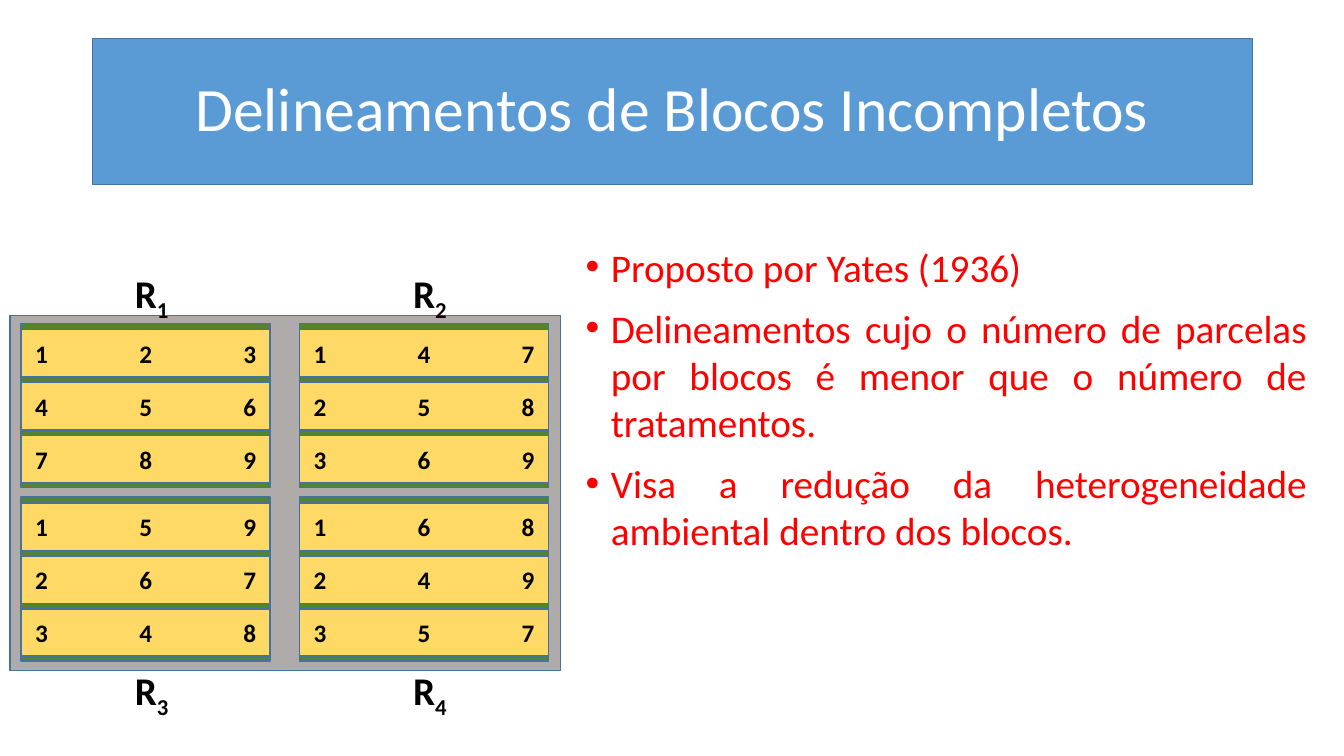
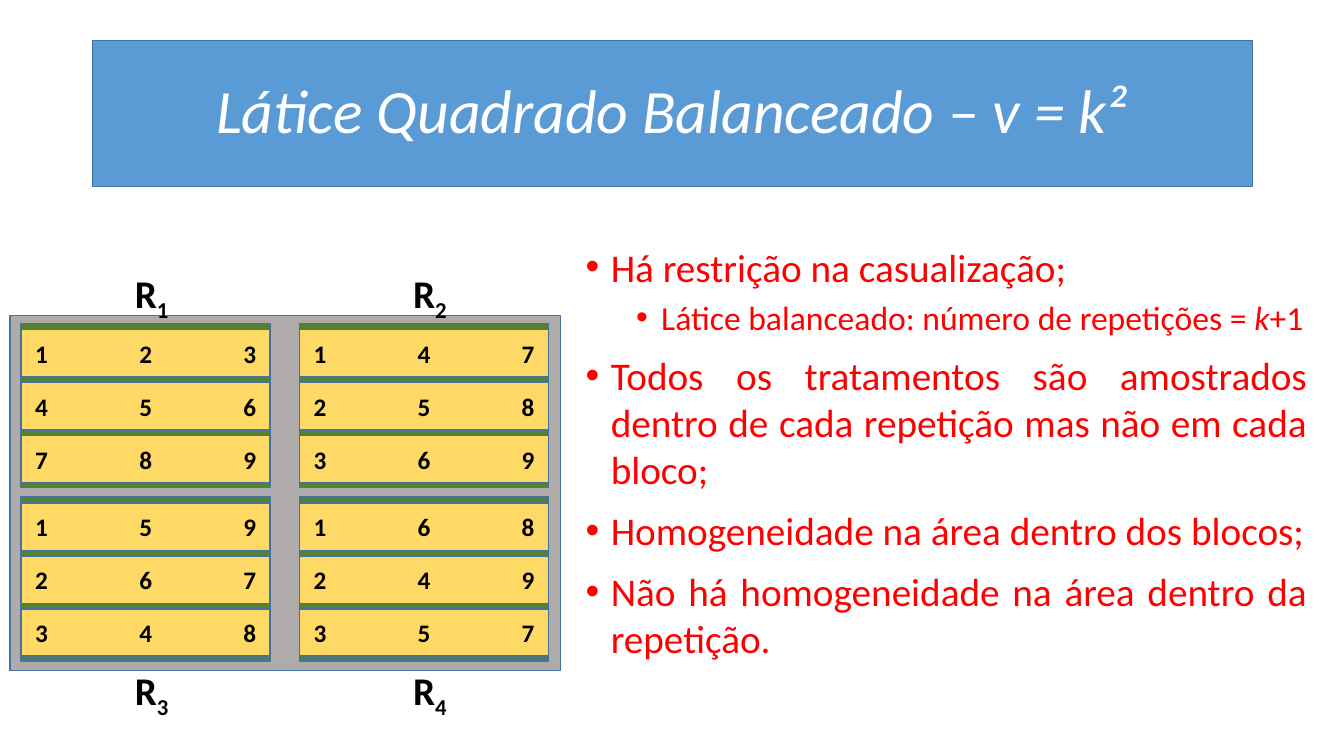
from dataclasses import dataclass

import pptx
import pptx.dml.color
import pptx.enum.shapes
import pptx.enum.text
import pptx.oxml.ns
import pptx.util
from lxml import etree
from pptx.util import Inches

ALIGN = pptx.enum.text.PP_ALIGN
MIDDLE = pptx.enum.text.MSO_ANCHOR.MIDDLE
qn = pptx.oxml.ns.qn


@dataclass(frozen=True)
class Theme:
    font: str = "Calibri"
    band: str = "5B9BD5"
    outline: str = "43739E"
    title: str = "FFFFFF"
    points: str = "FF0000"
    field: str = "AFABAB"
    repetition: str = "548235"
    block: str = "FFD966"
    ink: str = "000000"
    title_size: int = 44
    point_sizes: tuple = (28, 24)
    label_size: int = 28
    plot_size: int = 18


THEME = Theme()

TOPICS = [
    {
        "title": "Delineamentos de Blocos Incompletos",
        "italic": False,
        "top": 0.38,
        "points": [
            (0, ["Proposto por Yates (1936)"]),
            (0, ["Delineamentos cujo o número de parcelas por blocos é menor que o número de tratamentos."]),
            (0, ["Visa a redução da heterogeneidade ambiental dentro dos blocos."]),
        ],
    },
    {
        "title": "Látice Quadrado Balanceado – v = k²",
        "italic": True,
        "top": 0.4,
        "points": [
            (0, ["Há restrição na casualização;"]),
            (1, ["Látice balanceado: número de repetições = ", ("k", {"italic": True}), "+1"]),
            (0, ["Todos os tratamentos são amostrados dentro de cada repetição mas não em cada bloco;"]),
            (0, ["Homogeneidade na área dentro dos blocos;"]),
            (0, ["Não há homogeneidade na área dentro da repetição."]),
        ],
    },
]

REPETITIONS = [
    ["123", "456", "789"],
    ["147", "258", "369"],
    ["159", "267", "348"],
    ["168", "249", "357"],
]

FIELD = (0.1, 3.13, 5.46, 3.52)
FIRST_LEFT, FIRST_TOP = 0.21, 3.21
REP_WIDTH, REP_HEIGHT = 2.47, 1.63
GAP_X, GAP_Y = 0.29, 0.09
BLOCK_HEIGHT = 0.47
EDGE_TOP, EDGE_BOTTOM = 0.06, 0.05
BLOCK_PITCH = (REP_HEIGHT - EDGE_TOP - EDGE_BOTTOM - BLOCK_HEIGHT) / 2
PLOT_INSET = 0.14
LABEL_OFFSET, LABEL_WIDTH, LABEL_HEIGHT = 1.03, 0.6, 0.57
LABEL_TOPS = (2.62, 6.56)


def colour(value):
    return pptx.dml.color.RGBColor.from_string(value)


def write(paragraph, runs, *, size, color, align=ALIGN.LEFT, bold=False, italic=False):
    paragraph.alignment = align
    for part in runs:
        text, changes = (part, {}) if isinstance(part, str) else part
        run = paragraph.add_run()
        run.text = text
        run.font.name = THEME.font
        run.font.size = pptx.util.Pt(size)
        run.font.color.rgb = colour(color)
        run.font.bold = bold
        run.font.italic = changes.get("italic", italic)
        if "baseline" in changes:
            run._r.get_or_add_rPr().set("baseline", str(changes["baseline"] * 1000))


def place(shape, left, top, width, height):
    shape.left, shape.top = Inches(left), Inches(top)
    shape.width, shape.height = Inches(width), Inches(height)


def paint(shape, fill):
    shape.fill.solid()
    shape.fill.fore_color.rgb = colour(fill)
    shape.line.color.rgb = colour(THEME.outline)
    shape.line.width = pptx.util.Pt(1)


def add_panel(slide, left, top, width, height, fill):
    panel = slide.shapes.add_shape(
        pptx.enum.shapes.MSO_SHAPE.RECTANGLE,
        Inches(left), Inches(top), Inches(width), Inches(height))
    panel.shadow.inherit = False
    paint(panel, fill)
    return panel


def add_frame(slide, left, top, width, height):
    box = slide.shapes.add_textbox(Inches(left), Inches(top), Inches(width), Inches(height))
    box.text_frame.word_wrap = True
    return box.text_frame


def add_title(slide, topic):
    title = slide.shapes.title
    place(title, 0.92, topic["top"], 11.5, 1.45)
    paint(title, THEME.band)
    frame = title.text_frame
    frame.auto_size = pptx.enum.text.MSO_AUTO_SIZE.NONE
    frame.vertical_anchor = MIDDLE
    heading = frame.paragraphs[0]
    heading.line_spacing = 0.9
    write(heading, [topic["title"]], size=THEME.title_size, color=THEME.title,
          align=ALIGN.CENTER, italic=topic["italic"])


def add_points(slide, points):
    frame = add_frame(slide, 5.71, 2.36, 7.35, 0.78)
    for index, (level, runs) in enumerate(points):
        point = frame.add_paragraph() if index else frame.paragraphs[0]
        point.level = level
        properties = point._p.get_or_add_pPr()
        properties.set("marL", str(Inches(0.25 + 0.5 * level)))
        properties.set("indent", str(Inches(-0.25)))
        etree.SubElement(properties, qn("a:buFont")).set("typeface", "Arial")
        etree.SubElement(properties, qn("a:buChar")).set("char", "•")
        if index:
            point.space_before = pptx.util.Pt(5 if level else 10)
        write(point, runs, size=THEME.point_sizes[level], color=THEME.points, align=ALIGN.JUSTIFY)


def add_block(slide, left, top, treatments):
    block = add_panel(slide, left, top, REP_WIDTH, BLOCK_HEIGHT, THEME.block)
    frame = block.text_frame
    frame.vertical_anchor = MIDDLE
    frame.margin_left, frame.margin_right = Inches(PLOT_INSET), 0
    plots = frame.paragraphs[0]
    tabs = etree.SubElement(plots._p.get_or_add_pPr(), qn("a:tabLst"))
    for position, kind in ((REP_WIDTH / 2 - PLOT_INSET, "ctr"), (REP_WIDTH - 2 * PLOT_INSET, "r")):
        tab = etree.SubElement(tabs, qn("a:tab"))
        tab.set("pos", str(Inches(position)))
        tab.set("algn", kind)
    write(plots, ["\t".join(treatments)], size=THEME.plot_size, color=THEME.ink, bold=True)


def add_field(slide):
    add_panel(slide, *FIELD, THEME.field)
    for index, blocks in enumerate(REPETITIONS):
        row, column = divmod(index, 2)
        left = FIRST_LEFT + column * (REP_WIDTH + GAP_X)
        top = FIRST_TOP + row * (REP_HEIGHT + GAP_Y)
        add_panel(slide, left, top, REP_WIDTH, REP_HEIGHT, THEME.repetition)
        for order, treatments in enumerate(blocks):
            add_block(slide, left, top + EDGE_TOP + order * BLOCK_PITCH, treatments)
        label = add_frame(slide, left + LABEL_OFFSET, LABEL_TOPS[row], LABEL_WIDTH, LABEL_HEIGHT)
        write(label.paragraphs[0], ["R", (str(index + 1), {"baseline": -25})],
              size=THEME.label_size, color=THEME.ink, bold=True)


def main():
    deck = pptx.Presentation()
    deck.slide_width, deck.slide_height = Inches(13.33), Inches(7.5)
    for topic in TOPICS:
        slide = deck.slides.add_slide(deck.slide_layouts[5])
        add_title(slide, topic)
        add_points(slide, topic["points"])
        add_field(slide)
    deck.save("out.pptx")


if __name__ == "__main__":
    main()
